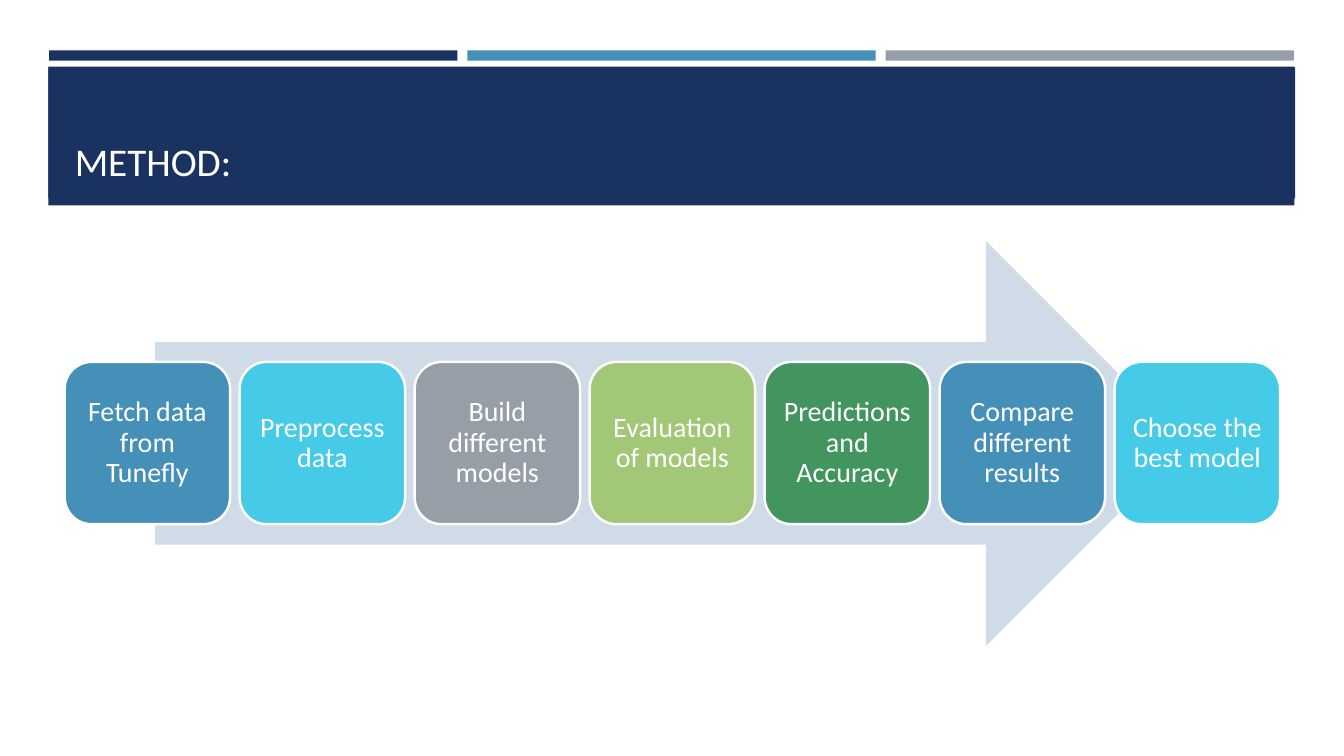
from pptx import Presentation
from pptx.dml.color import RGBColor
from pptx.enum import shapes, text
from pptx.util import Cm, Pt

HEADING = "METHOD:"
NAVY, BLUE, CYAN, GREY = "1A3260", "4590B8", "45CBE8", "969FA7"
LIME, GREEN, PALE, WHITE = "A2C777", "42955F", "CFDBE6", "FFFFFF"
STRIPS = [NAVY, BLUE, GREY]
BANDS = [(1.22, 1.68, 31.4, 3.5), (1.22, 1.7, 31.42, 3.3)]
STEPS = [
    ("Fetch data from Tunefly", BLUE),
    ("Preprocess data", CYAN),
    ("Build different models", GREY),
    ("Evaluation of models", LIME),
    ("Predictions and Accuracy", GREEN),
    ("Compare different results", BLUE),
    ("Choose the best model", CYAN),
]
STRIP_LEFT, STRIP_PITCH = 1.24, 10.54
STEP_LEFT, STEP_PITCH = 1.63, 4.41


def color(value):
    return RGBColor.from_string(value)


def add_block(slide, kind, box, fill):
    block = slide.shapes.add_shape(kind, *map(Cm, box))
    block.shadow.inherit = False
    block.fill.solid()
    block.fill.fore_color.rgb = color(fill)
    block.line.fill.background()
    return block


def write(frame, wording, size, tint, align, anchor):
    frame.text = wording
    frame.word_wrap = True
    frame.auto_size = text.MSO_AUTO_SIZE.NONE
    frame.vertical_anchor = anchor
    paragraph = frame.paragraphs[0]
    paragraph.alignment = align
    paragraph.line_spacing = 0.9
    paragraph.font.name = "Calibri"
    paragraph.font.size = Pt(size)
    paragraph.font.color.rgb = color(tint)


def add_header(slide):
    rectangle = shapes.MSO_SHAPE.RECTANGLE
    for band in BANDS:
        add_block(slide, rectangle, band, NAVY)
    for i, fill in enumerate(STRIPS):
        add_block(slide, rectangle, (STRIP_LEFT + i * STRIP_PITCH, 1.27, 10.29, 0.26), fill)
    heading = slide.shapes.title
    heading.left, heading.top, heading.width, heading.height = map(Cm, (1.63, 1.96, 30.63, 2.82))
    write(heading.text_frame, HEADING, 28, "FFFEFF", text.PP_ALIGN.LEFT, text.MSO_ANCHOR.BOTTOM)
    heading.element.getparent().append(heading.element)


def add_process(slide):
    add_block(slide, shapes.MSO_SHAPE.RIGHT_ARROW, (3.91, 6.07, 26.04, 10.21), PALE)
    for i, (wording, fill) in enumerate(STEPS):
        box = (STEP_LEFT + i * STEP_PITCH, 9.12, 4.17, 4.09)
        step = add_block(slide, shapes.MSO_SHAPE.ROUNDED_RECTANGLE, box, fill)
        step.line.color.rgb = color(WHITE)
        step.line.width = Pt(1.75)
        frame = step.text_frame
        frame.margin_left = frame.margin_right = Cm(0.2)
        frame.margin_top = frame.margin_bottom = Cm(0.2)
        write(frame, wording, 20, WHITE, text.PP_ALIGN.CENTER, text.MSO_ANCHOR.MIDDLE)


def main():
    deck = Presentation()
    deck.slide_width, deck.slide_height = Cm(33.87), Cm(19.05)
    slide = deck.slides.add_slide(deck.slide_layouts[5])
    add_header(slide)
    add_process(slide)
    deck.save("out.pptx")


if __name__ == "__main__":
    main()
